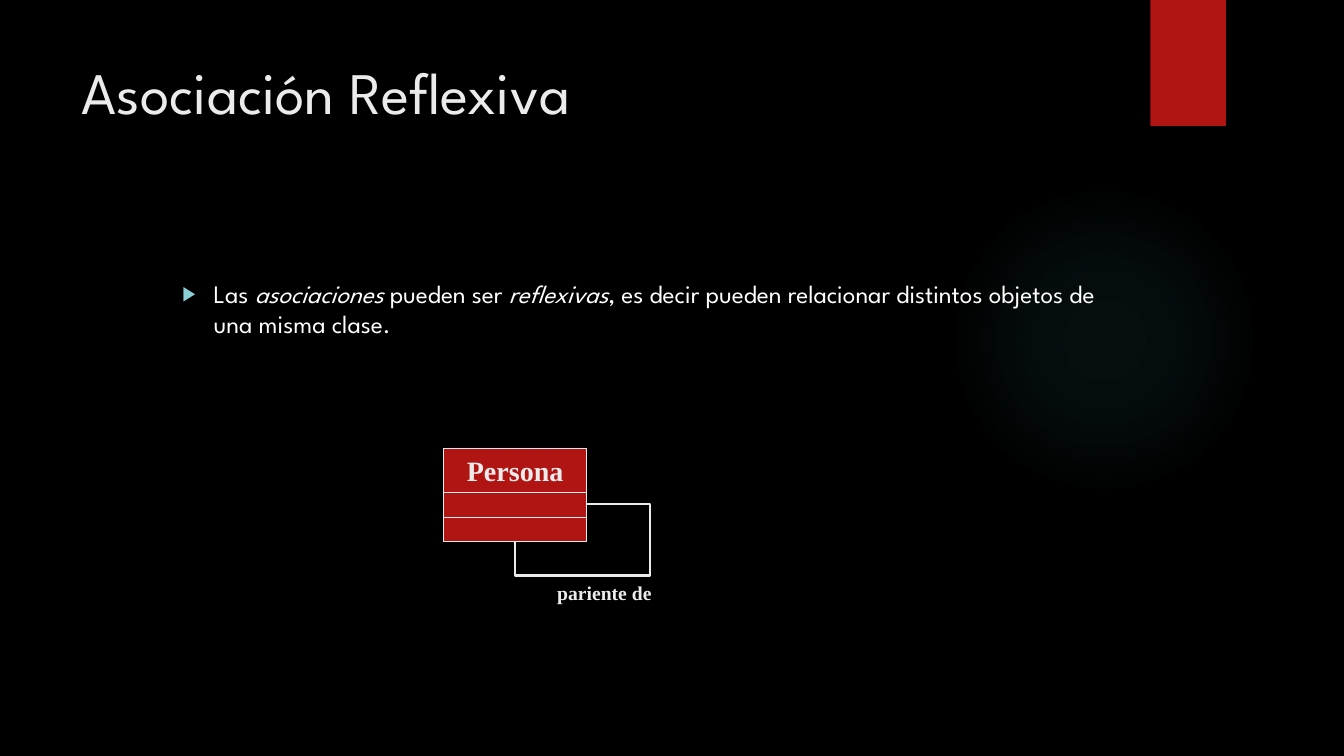
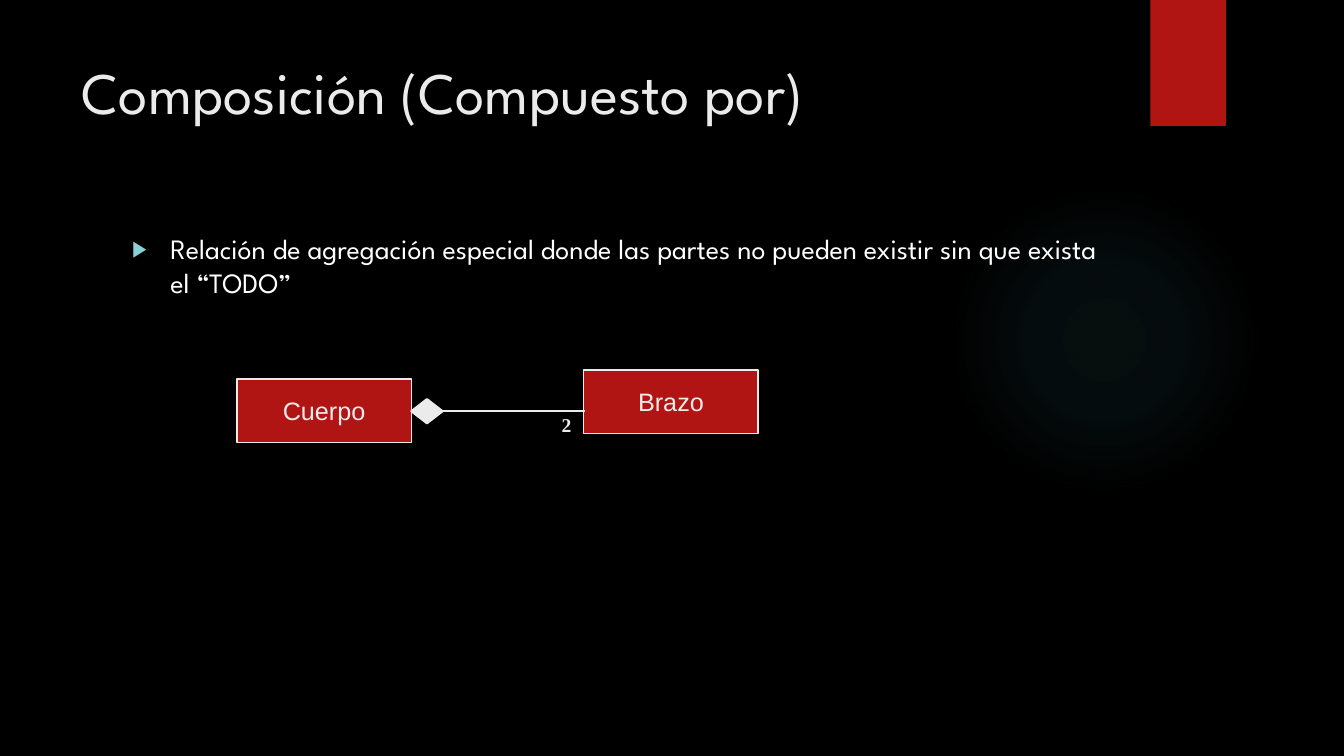
from lxml import etree
from pptx import Presentation
from pptx.dml.color import RGBColor
from pptx.enum.shapes import MSO_CONNECTOR, MSO_SHAPE
from pptx.enum.text import MSO_ANCHOR, MSO_AUTO_SIZE, PP_ALIGN
from pptx.oxml import parse_xml
from pptx.oxml.ns import nsdecls, qn
from pptx.util import Inches, Pt

BLACK = RGBColor(0x00, 0x00, 0x00)
WHITE = RGBColor(0xFF, 0xFF, 0xFF)
PALE = RGBColor(0xEB, 0xEB, 0xEB)
RED = RGBColor(0xB0, 0x15, 0x13)
TEAL = RGBColor(0x50, 0xB9, 0xC1)
AQUA = RGBColor(0x8A, 0xD0, 0xD6)

TITLE_FONT = {"name": "League Spartan", "size": Pt(42), "color": PALE}
CLASS_FONT = {"name": "Times New Roman", "size": Pt(20), "bold": True, "color": PALE}
LABEL_FONT = {**CLASS_FONT, "size": Pt(14)}
PART_FONT = {"name": "Arial", "size": Pt(18), "color": PALE}

TITLE_BOX = (0.71, 0.5, 10.29, 1.53)
BODY_BOX = (1.21, 2.25, 9.78, 4.59)
HALO_BOX = (9.41, 1.83, 3.08, 3.08)
BAND_BOX = (11.41, 0, 0.75, 1.25)
HALO_STOPS = [(0, 7), (36, 6), (69, 0)]  # position and opacity, percent

REFLEXIVE = {
    "title": "Asociación Reflexiva",
    "spans": [
        ("Las ", False),
        ("asociaciones", True),
        (" pueden ser ", False),
        ("reflexivas", True),
        (", es decir pueden relacionar distintos objetos de una misma clase.", False),
    ],
    "size": 18, "level": 1, "left": 0.81, "hanging": 0.31, "drop": 0.46,
}
COMPOSITION = {
    "title": "Composición (Compuesto por)",
    "spans": [("Relación de agregación especial donde las partes no pueden existir "
               "sin que exista el “TODO”", False)],
    "size": 20, "level": 0, "left": 0.38, "hanging": 0.38, "drop": 0,
}
COMPARTMENTS = [("Persona", 0.44), ("", 0.24), ("", 0.24)]
PARTS = [("Cuerpo", 2.35, 3.76), ("Brazo", 5.79, 3.67)]


def place(shape, box):
    for side, value in zip(("left", "top", "width", "height"), box):
        setattr(shape, side, Inches(value))


def format_font(font, values):
    for key, value in values.items():
        if key == "color":
            font.color.rgb = value
        else:
            setattr(font, key, value)


def write(shape, text, font, anchor=MSO_ANCHOR.MIDDLE, align=PP_ALIGN.CENTER, wrap=True):
    frame = shape.text_frame
    settings = {"word_wrap": wrap, "auto_size": MSO_AUTO_SIZE.NONE, "vertical_anchor": anchor}
    for key, value in settings.items():
        setattr(frame, key, value)
    para = frame.paragraphs[0]
    para.alignment = align
    span = para.add_run()
    span.text = text
    format_font(span.font, font)


def add_box(shapes, kind, box, fill=None, line=None, weight=1):
    shape = shapes.add_shape(kind, *map(Inches, box))
    shape.shadow.inherit = False
    if fill is None:
        shape.fill.background()
    else:
        shape.fill.solid()
        shape.fill.fore_color.rgb = fill
    if line is None:
        shape.line.fill.background()
    else:
        shape.line.color.rgb = line
        shape.line.width = Pt(weight)
    return shape


def add_label(page, text, box, wrap=True):
    label = page.shapes.add_textbox(*map(Inches, box))
    write(label, text, LABEL_FONT, MSO_ANCHOR.TOP, wrap=wrap)


def fill_halo(halo):
    stops = "".join(
        f'<a:gs pos="{position * 1000}"><a:srgbClr val="{TEAL}">'
        f'<a:alpha val="{opacity * 1000}"/></a:srgbClr></a:gs>'
        for position, opacity in HALO_STOPS)
    gradient = parse_xml(
        f'<a:gradFill {nsdecls("a")} rotWithShape="1"><a:gsLst>{stops}</a:gsLst>'
        '<a:path path="circle"><a:fillToRect l="50000" t="50000" r="50000" b="50000"/>'
        '</a:path></a:gradFill>')
    properties = halo.element.spPr
    properties.replace(properties.find(qn("a:noFill")), gradient)


def prepare_layout(deck):
    """Set the background and the placeholder places that all slides share."""
    deck.slide_master.background.fill.solid()
    deck.slide_master.background.fill.fore_color.rgb = BLACK
    layout = deck.slide_layouts[1]
    boxes = {0: TITLE_BOX, 1: BODY_BOX}
    for holder in list(layout.placeholders):
        index = holder.placeholder_format.idx
        if index in boxes:
            place(holder, boxes[index])
        else:
            layout.shapes.element.remove(holder.element)
    return layout


def decorate_layout(layout, page):
    """Draw the halo and the red band, then move them behind the layout's text."""
    halo = add_box(page.shapes, MSO_SHAPE.OVAL, HALO_BOX)
    fill_halo(halo)
    band = add_box(page.shapes, MSO_SHAPE.RECTANGLE, BAND_BOX, RED)
    for position, shape in enumerate((halo, band), start=2):
        layout.shapes.element.insert(position, shape.element)


def set_bullet(para, left, hanging):
    properties = para._p.get_or_add_pPr()
    properties.set("marL", str(Inches(left)))
    properties.set("indent", str(-Inches(hanging)))
    color = etree.SubElement(properties, qn("a:buClr"))
    etree.SubElement(color, qn("a:srgbClr"), val=str(AQUA))
    etree.SubElement(properties, qn("a:buSzPct"), val="80000")
    etree.SubElement(properties, qn("a:buFont"), typeface="Arial")
    etree.SubElement(properties, qn("a:buChar"), char="▶")


def add_page(deck, layout, content):
    page = deck.slides.add_slide(layout)
    write(page.shapes.title, content["title"], TITLE_FONT, MSO_ANCHOR.TOP, PP_ALIGN.LEFT)
    body = page.placeholders[1]
    left, top, width, height = BODY_BOX
    place(body, (left, top + content["drop"], width, height - content["drop"]))
    body.text_frame.auto_size = MSO_AUTO_SIZE.NONE
    para = body.text_frame.paragraphs[0]
    para.level = content["level"]
    para.space_before = Pt(10)
    set_bullet(para, content["left"], content["hanging"])
    for text, italic in content["spans"]:
        span = para.add_run()
        span.text = text
        format_font(span.font, {"name": "League Spartan", "size": Pt(content["size"]),
                                "italic": italic, "color": WHITE})
    return page


def draw_reflexive_class(page):
    add_box(page.shapes, MSO_SHAPE.RECTANGLE, (5.11, 5, 1.34, 0.71), line=PALE, weight=1.5)
    group = page.shapes.add_group_shape()
    top = 4.45
    for text, height in COMPARTMENTS:
        box = add_box(group.shapes, MSO_SHAPE.RECTANGLE, (4.4, top, 1.42, height),
                      RED, PALE, 0.75)
        if text:
            write(box, text, CLASS_FONT)
        top += height
    add_label(page, "pariente de", (5.15, 5.71, 1.69, 0.33))


def draw_composition(page):
    for text, left, top in PARTS:
        box = add_box(page.shapes, MSO_SHAPE.RECTANGLE, (left, top, 1.73, 0.63), RED, PALE)
        write(box, text, PART_FONT, wrap=False)
    add_label(page, "2", (5.47, 4.05, 0.3, 0.33), wrap=False)
    diamond = add_box(page.shapes, MSO_SHAPE.DIAMOND, (4.08, 3.96, 0.31, 0.24),
                      PALE, PALE, 1.5)
    link = page.shapes.add_connector(
        MSO_CONNECTOR.STRAIGHT, Inches(4.39), Inches(4.08), Inches(5.8), Inches(4.08))
    link.begin_connect(diamond, 3)
    link.line.color.rgb = PALE
    link.line.width = Pt(1.5)
    etree.SubElement(link.element.spPr, qn("a:effectLst"))


def main():
    deck = Presentation()
    deck.slide_width, deck.slide_height = Inches(13.33), Inches(7.5)
    layout = prepare_layout(deck)
    reflexive = add_page(deck, layout, REFLEXIVE)
    decorate_layout(layout, reflexive)
    draw_reflexive_class(reflexive)
    draw_composition(add_page(deck, layout, COMPOSITION))
    deck.save("out.pptx")


if __name__ == "__main__":
    main()
